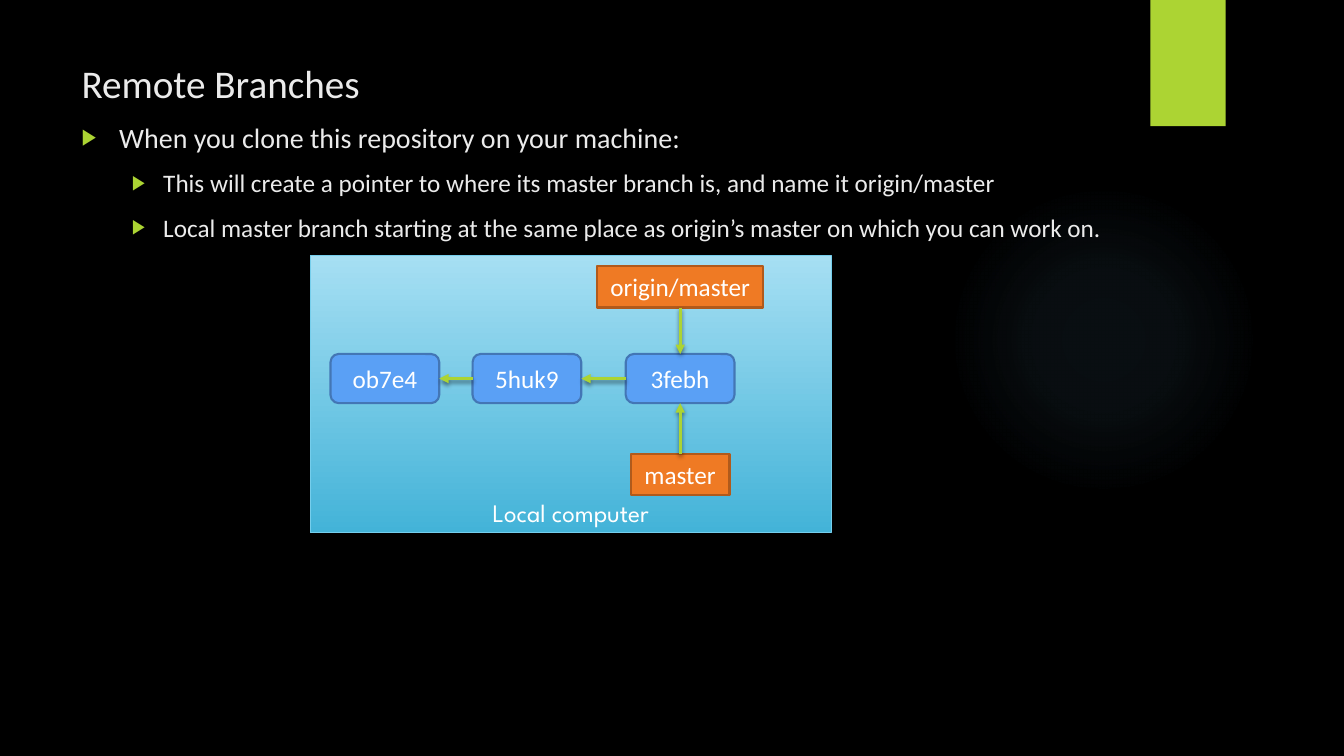
from dataclasses import dataclass

from lxml.etree import SubElement
from pptx import Presentation
from pptx.dml.color import RGBColor
from pptx.enum.shapes import MSO_CONNECTOR, MSO_SHAPE
from pptx.enum.text import MSO_ANCHOR, MSO_AUTO_SIZE, PP_ALIGN
from pptx.oxml import parse_xml
from pptx.oxml.ns import nsdecls, qn
from pptx.util import Cm, Pt


@dataclass(frozen=True)
class Theme:
    background: str = "000000"
    text: str = "EBEBEB"
    white: str = "FFFFFF"
    accent: str = "ACD433"
    glow: str = "7AC4F0"
    panel_top: str = "A6DFF3"
    panel_bottom: str = "43B3D8"
    panel_line: str = "75CEEC"
    commit: str = "5AA0F5"
    commit_line: str = "4376B5"
    branch: str = "EF7A24"
    branch_line: str = "B15A1B"
    font: str = "Calibri"
    panel_font: str = "League Spartan"
    title_size: int = 28
    lead_size: int = 20
    small_size: int = 18


@dataclass(frozen=True)
class Box:
    left: float
    top: float
    width: float
    height: float

    def lengths(self):
        return Cm(self.left), Cm(self.top), Cm(self.width), Cm(self.height)


@dataclass(frozen=True)
class Bullet:
    text: str
    level: int
    size: int
    margin: float
    hanging: float


@dataclass(frozen=True)
class NodeStyle:
    preset: MSO_SHAPE
    fill: str
    line: str


THEME = Theme()
COMMIT = NodeStyle(MSO_SHAPE.ROUNDED_RECTANGLE, THEME.commit, THEME.commit_line)
BRANCH = NodeStyle(MSO_SHAPE.RECTANGLE, THEME.branch, THEME.branch_line)
TOP, LEFT, BOTTOM, RIGHT = range(4)  # connection sites

BULLETS = [
    Bullet("When you clone this repository on your machine:", 0, THEME.lead_size, 0.95, 0.95),
    Bullet("This will create a pointer to where its master branch is, and name it origin/master",
           1, THEME.small_size, 2.06, 0.79),
    Bullet("Local master branch starting at the same place as origin’s master on which you can work on.",
           1, THEME.small_size, 2.06, 0.79),
]


def rgb(color: str) -> RGBColor:
    return RGBColor.from_string(color)


def add_run(paragraph, text: str, size: int, color: str, font: str = THEME.font) -> None:
    run = paragraph.add_run()
    run.text = text
    run.font.size = Pt(size)
    run.font.name = font
    run.font.color.rgb = rgb(color)


def add_plain_shape(preset: MSO_SHAPE, box: Box):
    shape = slide.shapes.add_shape(preset, *box.lengths())
    shape.shadow.inherit = False
    shape.line.fill.background()
    return shape


def cast_shadow(properties) -> None:
    """Give a shape or connector the soft shadow that falls straight down."""
    for effects in properties.findall(qn("a:effectLst")):
        properties.remove(effects)
    properties.append(parse_xml(
        f'<a:effectLst {nsdecls("a")}><a:outerShdw blurRad="{Pt(3)}" dist="{Pt(2)}" '
        'dir="5400000" rotWithShape="0"><a:srgbClr val="000000"><a:alpha val="45000"/>'
        '</a:srgbClr></a:outerShdw></a:effectLst>'))


def add_centred_text(shape, text: str, font: str, anchor: MSO_ANCHOR) -> None:
    frame = shape.text_frame
    frame.vertical_anchor = anchor
    frame.word_wrap = False
    frame.paragraphs[0].alignment = PP_ALIGN.CENTER
    add_run(frame.paragraphs[0], text, THEME.small_size, THEME.white, font)


def add_node(text: str, box: Box, style: NodeStyle):
    node = add_plain_shape(style.preset, box)
    node.fill.solid()
    node.fill.fore_color.rgb = rgb(style.fill)
    node.line.color.rgb = rgb(style.line)
    node.line.width = Pt(1.5)
    add_centred_text(node, text, THEME.font, MSO_ANCHOR.MIDDLE)
    return node


def add_arrow(source, source_site: int, target, target_site: int) -> None:
    arrow = slide.shapes.add_connector(MSO_CONNECTOR.STRAIGHT, 0, 0, 0, 0)
    arrow.begin_connect(source, source_site)
    arrow.end_connect(target, target_site)
    arrow.line.color.rgb = rgb(THEME.accent)
    arrow.line.width = Pt(2.25)
    properties = arrow.element.spPr
    SubElement(properties.find(qn("a:ln")), qn("a:tailEnd"), type="triangle")
    cast_shadow(properties)


def add_bullet(paragraph, bullet: Bullet) -> None:
    paragraph.level = bullet.level
    paragraph.space_before = Pt(10)
    add_run(paragraph, bullet.text, bullet.size, THEME.text)
    properties = paragraph._p.get_or_add_pPr()
    properties.set("marL", str(Cm(bullet.margin)))
    properties.set("indent", str(-Cm(bullet.hanging)))
    color = SubElement(properties, qn("a:buClr"))
    SubElement(color, qn("a:srgbClr"), val=THEME.accent)
    SubElement(properties, qn("a:buSzPct"), val="80000")
    SubElement(properties, qn("a:buFont"), typeface=THEME.font)
    SubElement(properties, qn("a:buChar"), char="▶")


def place(placeholder, box: Box) -> None:
    """Move a placeholder to its box, in front of what is drawn so far."""
    placeholder.left, placeholder.top, placeholder.width, placeholder.height = box.lengths()
    placeholder.element.getparent().append(placeholder.element)
    placeholder.text_frame.auto_size = MSO_AUTO_SIZE.NONE


presentation = Presentation()
presentation.slide_width, presentation.slide_height = Cm(33.87), Cm(19.05)
slide = presentation.slides.add_slide(presentation.slide_layouts[1])
slide.background.fill.solid()
slide.background.fill.fore_color.rgb = rgb(THEME.background)

# Backdrop: faint glow and corner tab
glow = add_plain_shape(MSO_SHAPE.OVAL, Box(23.9, 4.65, 7.82, 7.82))
glow.fill.background()
glow_stops = "".join(
    f'<a:gs pos="{position}000"><a:srgbClr val="{THEME.glow}"><a:alpha val="{alpha}000"/>'
    '</a:srgbClr></a:gs>' for position, alpha in [(0, 7), (36, 6), (69, 0)])
glow_properties = glow.element.spPr
glow_properties.replace(glow_properties.find(qn("a:noFill")), parse_xml(
    f'<a:gradFill {nsdecls("a")}><a:gsLst>{glow_stops}</a:gsLst><a:path path="circle">'
    '<a:fillToRect l="50000" t="50000" r="50000" b="50000"/></a:path></a:gradFill>'))

tab = add_plain_shape(MSO_SHAPE.RECTANGLE, Box(28.99, 0, 1.9, 3.18))
tab.fill.solid()
tab.fill.fore_color.rgb = rgb(THEME.accent)
cast_shadow(tab.element.spPr)

# Panel for the local computer
computer = add_plain_shape(MSO_SHAPE.RECTANGLE, Box(7.82, 6.45, 13.13, 6.98))
computer.fill.gradient()
computer.fill.gradient_angle = 270
for stop, stop_color in zip(computer.fill.gradient_stops, (THEME.panel_top, THEME.panel_bottom)):
    stop.color.rgb = rgb(stop_color)
computer.line.color.rgb = rgb(THEME.panel_line)
computer.line.width = Pt(0.75)
add_centred_text(computer, "Local computer", THEME.panel_font, MSO_ANCHOR.BOTTOM)

# Title and bullets
title, body = slide.placeholders
place(title, Box(1.8, 1.27, 26.14, 1.65))
title.text_frame.vertical_anchor = MSO_ANCHOR.MIDDLE
title.text_frame.paragraphs[0].alignment = PP_ALIGN.LEFT
add_run(title.text_frame.paragraphs[0], "Remote Branches", THEME.title_size, THEME.text)

place(body, Box(1.8, 2.9, 31.45, 15.6))
for index, bullet in enumerate(BULLETS):
    add_bullet(body.text_frame.add_paragraph() if index else body.text_frame.paragraphs[0], bullet)

# Commits, each pointing back to the one before
commits = [add_node(name, Box(left, 8.92, 2.74, 1.24), COMMIT)
           for name, left in [("ob7e4", 8.33), ("5huk9", 11.91), ("3febh", 15.77)]]
for parent, child in zip(commits, commits[1:]):
    add_arrow(child, LEFT, parent, RIGHT)

# Branches, centred on the latest commit and pointing at it
latest = commits[-1]
latest_centre = 15.77 + 2.74 / 2
for name, top, width, site, latest_site in [("origin/master", 6.71, 4.19, BOTTOM, TOP),
                                            ("master", 11.43, 2.49, TOP, BOTTOM)]:
    branch = add_node(name, Box(latest_centre - width / 2, top, width, 1.04), BRANCH)
    add_arrow(branch, site, latest, latest_site)

presentation.save("out.pptx")
